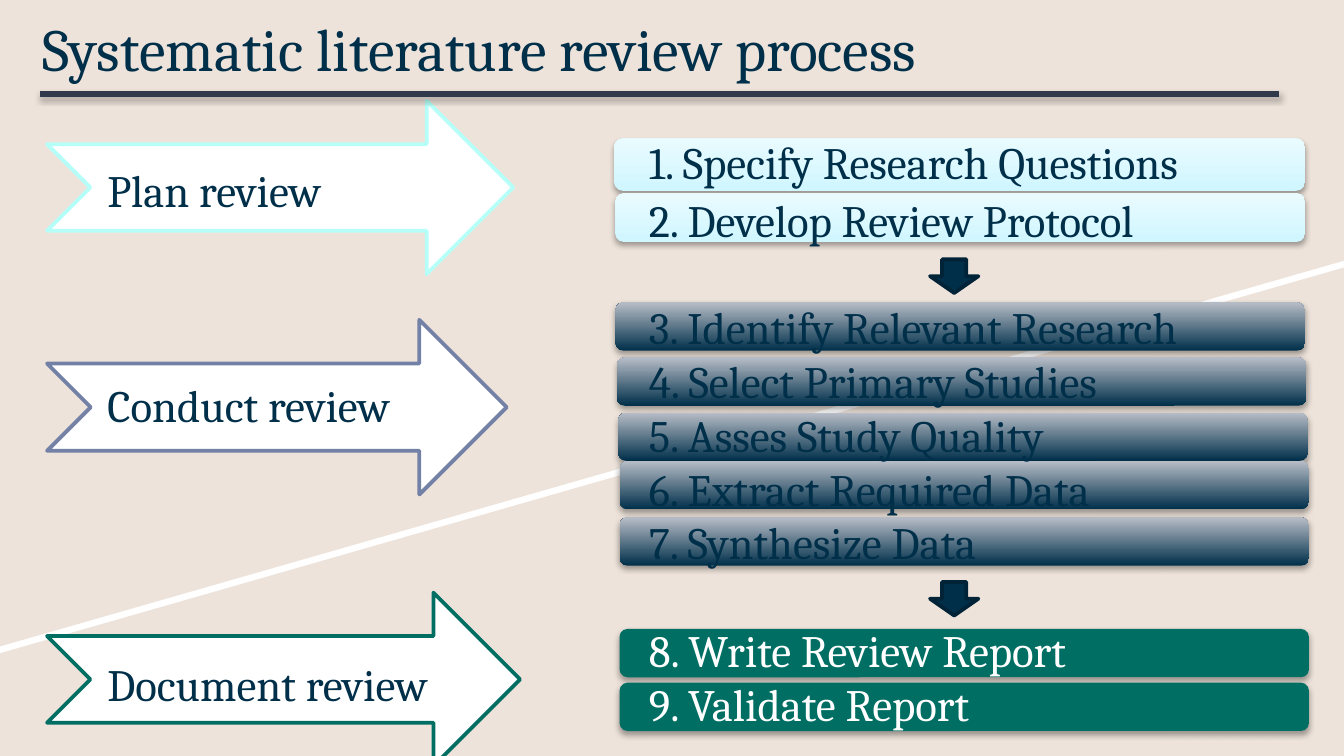
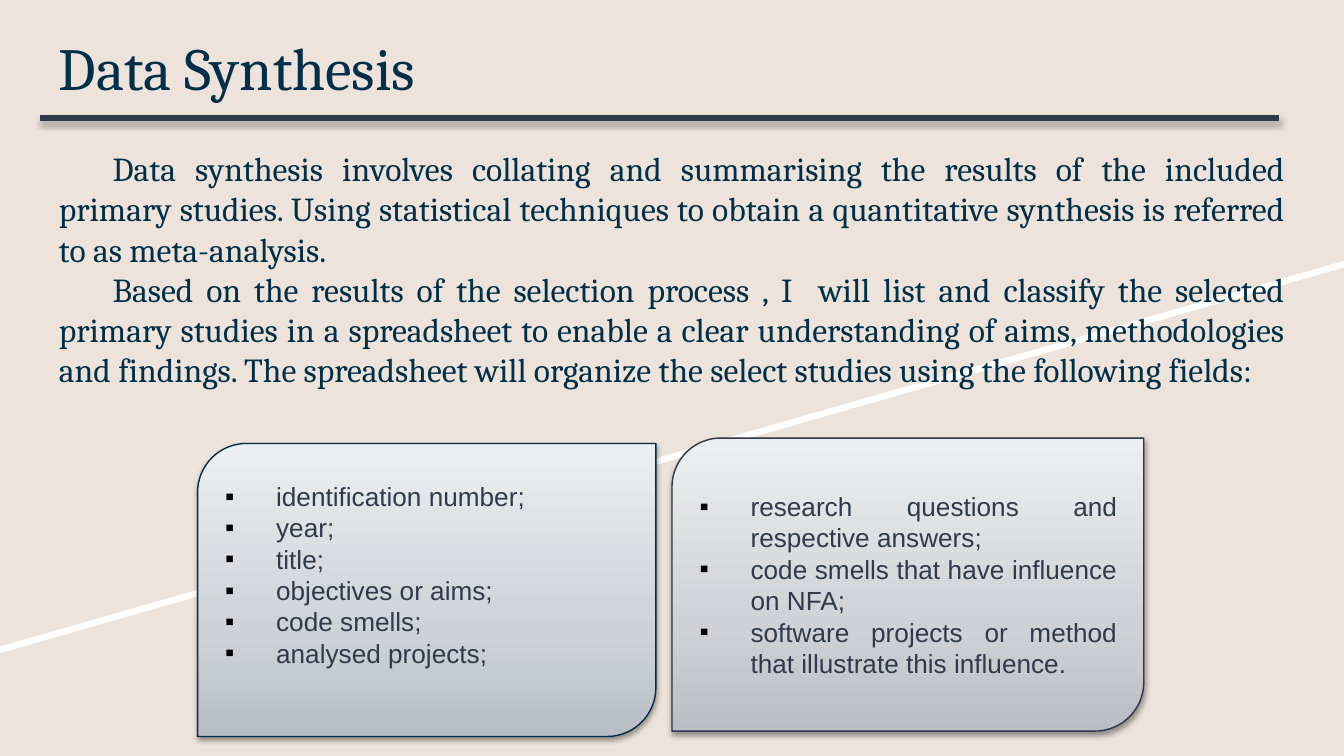
from pptx import Presentation
from pptx.dml.color import RGBColor
from pptx.enum import shapes as sh, text as tx
from pptx.oxml import parse_xml
from pptx.oxml.ns import nsdecls, qn
from pptx.oxml.xmlchemy import OxmlElement
from pptx.util import Inches, Pt

SAND = RGBColor(0xED, 0xE3, 0xDA)
WHITE = RGBColor(0xFF, 0xFF, 0xFF)
BLACK = RGBColor(0, 0, 0)
NAVY = RGBColor(0x00, 0x2F, 0x4A)
INK = RGBColor(0x00, 0x23, 0x37)
SLATE = RGBColor(0x31, 0x39, 0x4D)
GREEN = RGBColor(0x00, 0x6E, 0x63)
AQUA = RGBColor(0xB6, 0xFF, 0xF8)
BLUE = RGBColor(0x72, 0x81, 0xA5)
ICE = [(0, RGBColor(0xD0, 0xF6, 0xFF)), (100, RGBColor(0xE9, 0xFB, 0xFF))]
DUSK = [(0, NAVY), (100, RGBColor(0xB7, 0xBD, 0xC7))]
MIST = [(0, RGBColor(0xB8, 0xBD, 0xC6)), (35, RGBColor(0xCE, 0xD1, 0xD7)),
        (100, RGBColor(0xEC, 0xEE, 0xF0))]
FOG = [(0, RGBColor(0xBB, 0xBD, 0xC5)), (35, RGBColor(0xD0, 0xD1, 0xD6)),
       (100, RGBColor(0xED, 0xEE, 0xF0))]
SERIF, SANS = "Cambria", "Arial"
KIND = sh.MSO_SHAPE

PHASES = [
    ("Plan review", 0, (0.35, 0.75, 3.47, 1.29), AQUA),
    ("Conduct review", 86.4, (0.35, 2.38, 3.42, 1.3), BLUE),
    ("Document review", 120.5, (0.35, 4.41, 3.52, 1.29), GREEN),
]
STEPS = [
    ("1. Specify Research Questions", 0, (4.57, 1.03, 5.14, 0.39), ICE, NAVY),
    ("2. Develop Review Protocol", 2.4, (4.58, 1.44, 5.13, 0.36), ICE, NAVY),
    ("3. Identify Relevant Research", 28.8, (4.58, 2.25, 5.13, 0.36), DUSK, NAVY),
    ("4. Select Primary Studies", 0, (4.59, 2.66, 5.13, 0.36), DUSK, NAVY),
    ("5. Asses Study Quality", 0, (4.6, 3.07, 5.13, 0.36), DUSK, NAVY),
    ("6. Extract Required Data", 0, (4.61, 3.43, 5.13, 0.36), DUSK, NAVY),
    ("7. Synthesize Data", 0, (4.61, 3.85, 5.13, 0.36), DUSK, NAVY),
    ("8. Write Review Report", 28.8, (4.61, 4.68, 5.13, 0.36), GREEN, WHITE),
    ("9. Validate Report", 0, (4.61, 5.08, 5.13, 0.36), GREEN, WHITE),
]
DOWNS = [1.93, 4.33]
BODY = [
    "Data synthesis involves collating and summarising the results of the "
    "included primary studies. Using statistical techniques to obtain a "
    "quantitative synthesis is referred to as meta-analysis.",
    "Based on the results of the selection process , I  will list and classify "
    "the selected primary studies in a spreadsheet to enable a clear "
    "understanding of aims, methodologies and findings. The spreadsheet will "
    "organize the select studies using the following fields:",
]
PANELS = [
    ((1.47, 3.3, 3.41, 2.18), MIST, RGBColor(0x00, 0x2E, 0x48), 0.28,
     ["identification number;", "year;", "title;", "objectives or aims;",
      "code smells;", "analysed projects;"]),
    ((5, 3.26, 3.51, 2.18), FOG, RGBColor(0x2F, 0x37, 0x4C), 0.05,
     ["research questions and respective answers;",
      "code smells that have influence on NFA;",
      "software projects or method that illustrate this influence."]),
]


def shade(shape, alpha=35, dist=1.8):
    props = shape._element.spPr
    effects = props.find(qn("a:effectLst"))
    if effects is None:
        effects = OxmlElement("a:effectLst")
        props.append(effects)
    effects.append(parse_xml(
        f'<a:outerShdw {nsdecls("a")} blurRad="{Pt(3.1)}" dist="{Pt(dist)}" '
        f'dir="5400000" rotWithShape="0"><a:srgbClr val="{BLACK}">'
        f'<a:alpha val="{alpha * 1000}"/></a:srgbClr></a:outerShdw>'))


def paint(shape, fill):
    if isinstance(fill, RGBColor):
        shape.fill.solid()
        shape.fill.fore_color.rgb = fill
        return
    shape.fill.gradient()
    shape.fill.gradient_angle = 90
    stops = shape._element.spPr.find(".//" + qn("a:gsLst"))
    stops.clear()
    for pos, color in fill:
        stops.append(parse_xml(
            f'<a:gs {nsdecls("a")} pos="{pos * 1000}">'
            f'<a:srgbClr val="{color}"/></a:gs>'))


def block(slide, kind, at, fill, line=None, width=2):
    shape = slide.shapes.add_shape(kind, *map(Inches, at))
    shape.shadow.inherit = False
    paint(shape, fill)
    if line is None:
        shape.line.fill.background()
    else:
        shape.line.color.rgb = line
        shape.line.width = Pt(width)
    return shape


def write(frame, lines, size, color, face=SERIF):
    frame.word_wrap = True
    for i, line in enumerate(lines):
        para = frame.paragraphs[0] if i == 0 else frame.add_paragraph()
        para.text = line
        para.font.size = Pt(size)
        para.font.name = face
        para.font.color.rgb = color
    return frame.paragraphs


def label(slide, at, lines, size, color=NAVY):
    frame = slide.shapes.add_textbox(*map(Inches, at)).text_frame
    frame.margin_left = frame.margin_right = Inches(0.1)
    frame.margin_top = frame.margin_bottom = Inches(0.1)
    return write(frame, lines, size, color)


def indent(para, left, first):
    props = para._p.get_or_add_pPr()
    props.set("marL", str(Inches(left)))
    props.set("indent", str(Inches(first)))
    para.alignment = tx.PP_ALIGN.JUSTIFY
    return props


def bullet(para):
    props = indent(para, 0.38, -0.38)
    color = OxmlElement("a:buClr")
    rgb = OxmlElement("a:srgbClr")
    rgb.set("val", str(BLACK))
    color.append(rgb)
    face = OxmlElement("a:buFont")
    face.set("typeface", SANS)
    mark = OxmlElement("a:buChar")
    mark.set("char", "▪")
    props.extend([color, face, mark])


def base(deck):
    slide = deck.slides.add_slide(deck.slide_layouts[6])
    slide.background.fill.solid()
    slide.background.fill.fore_color.rgb = SAND
    for top, color in ((0.05, WHITE), (0, SAND)):
        path = slide.shapes.build_freeform(0, Inches(top))
        path.add_line_segments(
            [(Inches(x), Inches(top + y)) for x, y in ((10, 0), (10, 1.94), (0, 4.81))])
        band = path.convert_to_shape()
        band.shadow.inherit = False
        paint(band, color)
        band.line.fill.background()
    return slide


def head(slide, title, at, rule):
    label(slide, at, [title], 32)
    line = slide.shapes.add_connector(
        sh.MSO_CONNECTOR.STRAIGHT, Inches(0.3), Inches(rule), Inches(9.52), Inches(rule))
    line.line.color.rgb = SLATE
    line.line.width = Pt(3)
    shade(line)


def process(deck):
    slide = base(deck)
    for _, _, at, color in PHASES:
        block(slide, KIND.NOTCHED_RIGHT_ARROW, at, WHITE, color)
    for _, _, at, fill, _ in STEPS:
        shade(block(slide, KIND.ROUNDED_RECTANGLE, at, fill))
    head(slide, "Systematic literature review process", (0.22, -0.01, 9.32, 0.86), 0.7)
    for at, rows in (((0.7, 1.11, 3.12, 0.78), PHASES), ((4.73, 0.9, 6.03, 0.86), STEPS)):
        for para, row in zip(label(slide, at, [r[0] for r in rows], 24), rows):
            para.space_before = Pt(row[1])
            if rows is STEPS:
                para.font.color.rgb = row[-1]
    for top in DOWNS:
        block(slide, KIND.DOWN_ARROW, (6.92, top, 0.36, 0.25), NAVY, INK)


def synthesis(deck):
    slide = base(deck)
    head(slide, "Data Synthesis", (0.34, 0.13, 9.32, 1.4), 0.88)
    for para in label(slide, (0.34, 1, 9.32, 1.4), BODY, 18):
        indent(para, 0, 0.4)
    for at, fill, edge, foot, lines in PANELS:
        panel = block(slide, KIND.ROUND_2_DIAG_RECTANGLE, at, fill, edge, 0.75)
        shade(panel, 38, 1.6)
        frame = panel.text_frame
        frame.vertical_anchor = tx.MSO_ANCHOR.MIDDLE
        frame.margin_right = Inches(0.09)
        frame.margin_bottom = Inches(foot)
        for para in write(frame, lines, 14, SLATE, SANS):
            bullet(para)


def main():
    deck = Presentation()
    deck.slide_width = Inches(10)
    deck.slide_height = deck.slide_width * 9 // 16
    process(deck)
    synthesis(deck)
    deck.save("out.pptx")


if __name__ == "__main__":
    main()
